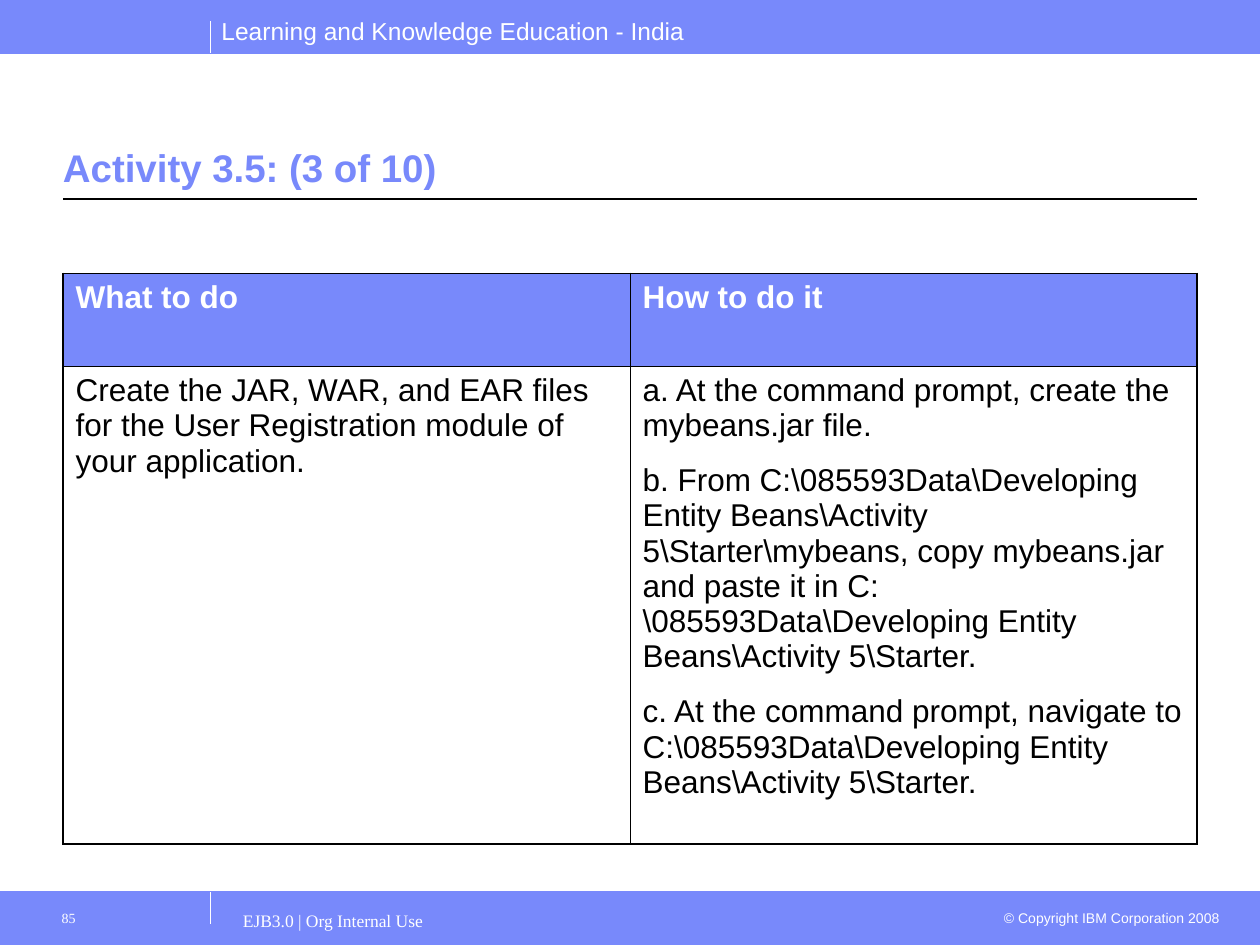
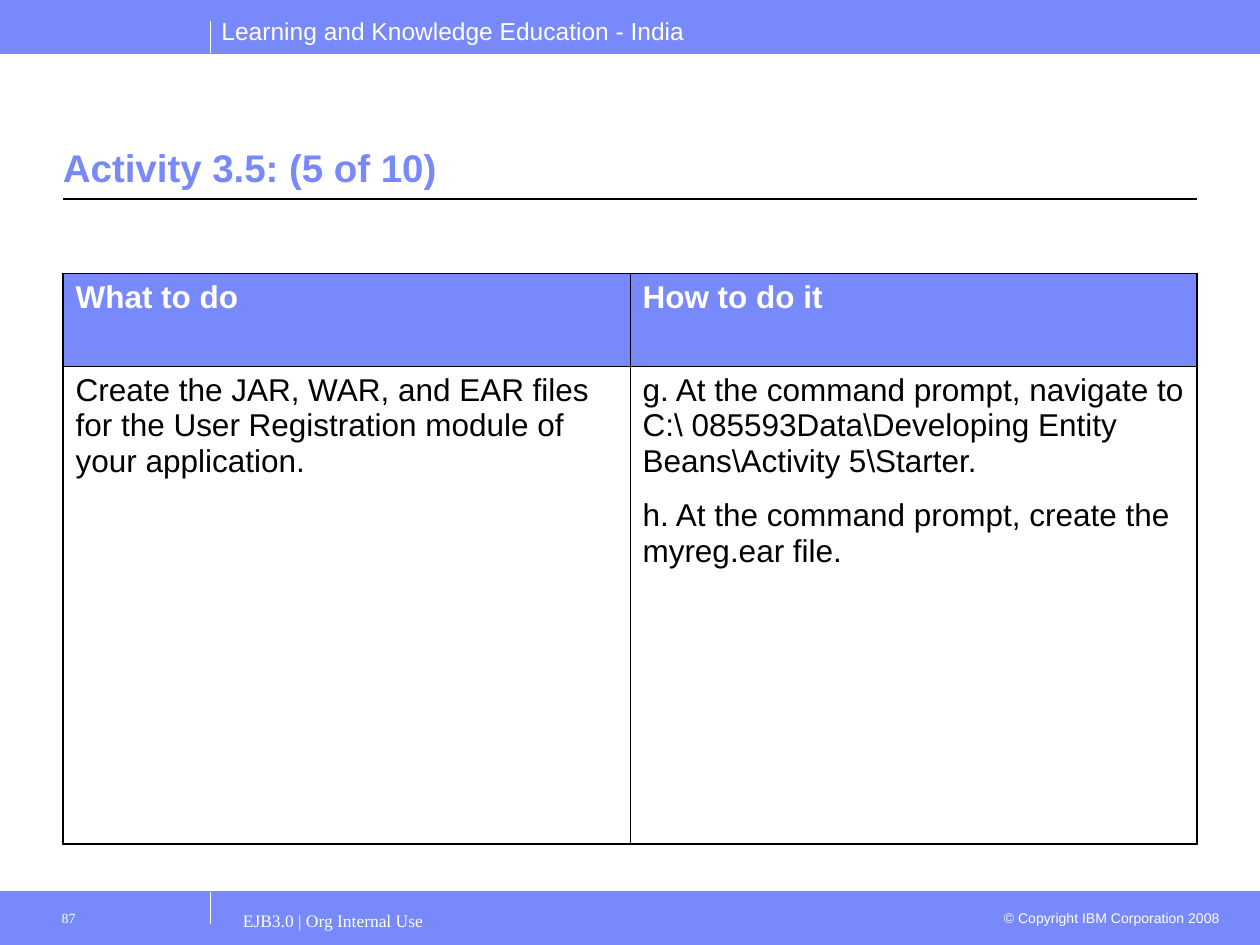
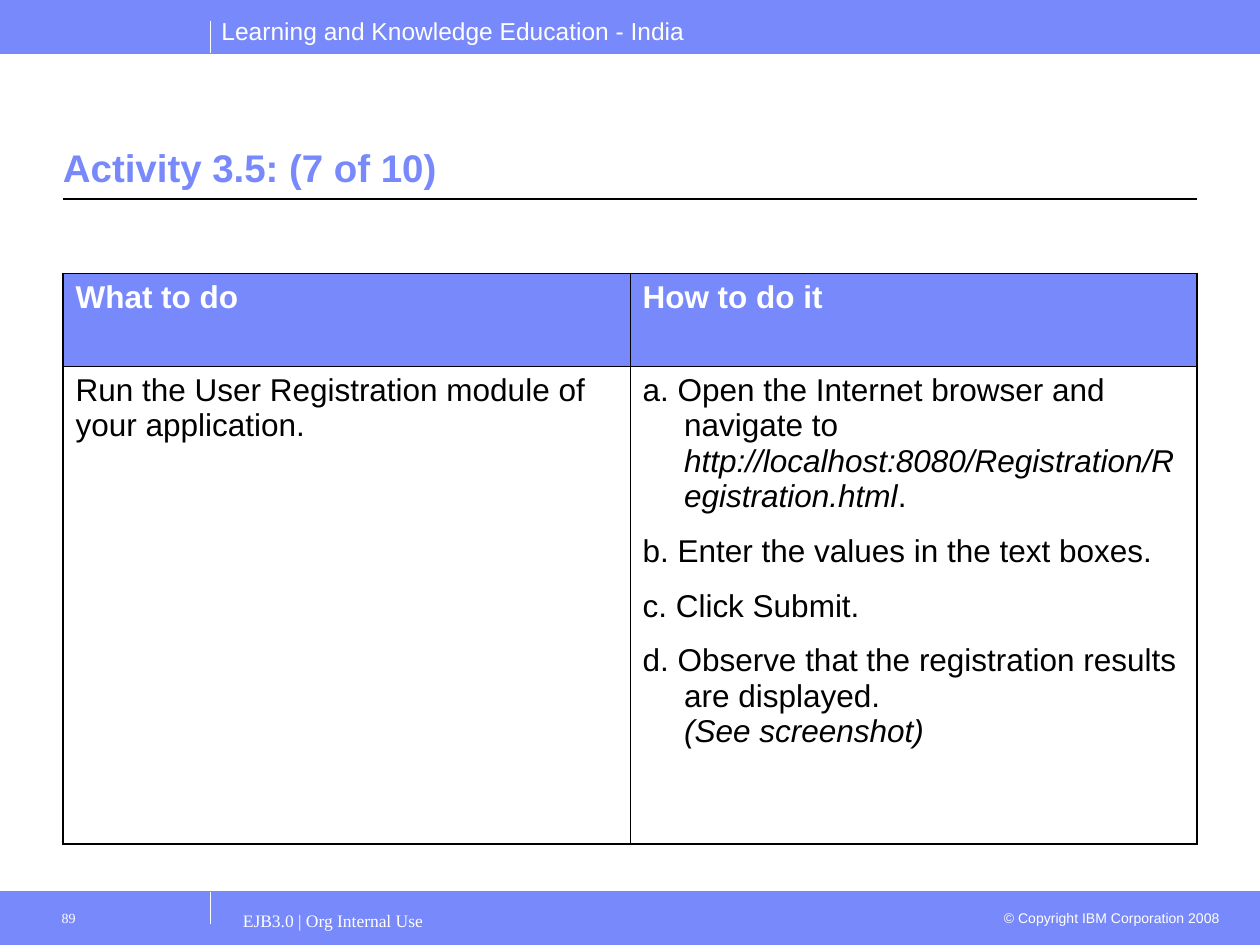
from lxml import etree
from pptx import Presentation
from pptx.dml.color import RGBColor
from pptx.enum.shapes import MSO_CONNECTOR, MSO_SHAPE
from pptx.enum.text import MSO_ANCHOR, PP_ALIGN
from pptx.oxml.ns import qn
from pptx.util import Inches, Pt

COLORS = {"band": "7889FB", "light": "FFFFFF", "dark": "000000"}
STARTER = r"C:\085593Data\Developing Entity Beans\Activity 5\Starter"
HEADINGS = ["What to do", "How to do it"]
BUILD_TASK = "Create the JAR, WAR, and EAR files for the User Registration module of your application."

ACTIVITIES = [
    {
        "title": "Activity 3.5: (3 of 10)",
        "page": "85",
        "task": BUILD_TASK,
        "steps": [
            "a. At the command prompt, create the mybeans.jar file.",
            rf"b. From {STARTER}\mybeans, copy mybeans.jar and paste it in {STARTER}.",
            f"c. At the command prompt, navigate to {STARTER}.",
        ],
    },
    {
        "title": "Activity 3.5: (5 of 10)",
        "page": "87",
        "task": BUILD_TASK,
        "steps": [
            r"g. At the command prompt, navigate to C:\ 085593Data\Developing Entity Beans\Activity 5\Starter.",
            "h. At the command prompt, create the myreg.ear file.",
        ],
    },
    {
        "title": "Activity 3.5: (7 of 10)",
        "page": "89",
        "task": "Run the User Registration module of your application.",
        "steps": [
            [
                ("a. Open the Internet browser and navigate to ", False),
                ("http://localhost:8080/Registration/Registration.html", True),
                (".", False),
            ],
            "b. Enter the values in the text boxes.",
            "c. Click Submit.",
            [
                ("d. Observe that the registration results are displayed.", False),
                ("\n", False),
                ("(See screenshot)", True),
            ],
        ],
        "hanging": 0.33,
    },
]

WIDTH, HEIGHT, BAND = 10, 7.5, 0.42
FOOTER_TOP = HEIGHT - BAND
MARGIN, DIVIDER_X, DIVIDER_LENGTH = 0.5, 1.67, 0.25
CONTENT_WIDTH = WIDTH - 2 * MARGIN
TABLE_TOP, ROW_HEIGHTS = 2.17, [0.74, 3.79]
OUTER_BORDER, INNER_BORDER = 1.08, 0.45


def rgb(color):
    return RGBColor.from_string(COLORS[color])


def write(frame, paragraphs, size=18, color="light", font="Arial", bold=False,
          align=PP_ALIGN.LEFT, after=0, hanging=0):
    for index, content in enumerate(paragraphs):
        paragraph = frame.add_paragraph() if index else frame.paragraphs[0]
        paragraph.alignment = align
        paragraph.space_after = Pt(after)
        if hanging:
            properties = paragraph._p.get_or_add_pPr()
            properties.set("marL", str(Inches(hanging)))
            properties.set("indent", str(-Inches(hanging)))
        runs = [(content, False)] if isinstance(content, str) else content
        for text, italic in runs:
            if text == "\n":
                paragraph.add_line_break()
                continue
            run = paragraph.add_run()
            run.text = text
            run.font.size = Pt(size)
            run.font.name = font
            run.font.bold = bold
            run.font.italic = italic
            run.font.color.rgb = rgb(color)


def add_label(slide, text, box, insets=(0.1, 0.05, 0.1, 0.05),
              anchor=MSO_ANCHOR.TOP, **style):
    frame = slide.shapes.add_textbox(*map(Inches, box)).text_frame
    frame.word_wrap = True
    frame.vertical_anchor = anchor
    (frame.margin_left, frame.margin_top,
     frame.margin_right, frame.margin_bottom) = map(Inches, insets)
    write(frame, [text], **style)


def add_rule(slide, start, end, color, weight=0.75):
    rule = slide.shapes.add_connector(MSO_CONNECTOR.STRAIGHT, *map(Inches, start + end))
    rule.line.color.rgb = rgb(color)
    rule.line.width = Pt(weight)
    etree.SubElement(rule._element.spPr, qn("a:effectLst"))


def add_band(slide, top):
    band = slide.shapes.add_shape(
        MSO_SHAPE.RECTANGLE, 0, Inches(top), Inches(WIDTH), Inches(BAND))
    band.shadow.inherit = False
    band.fill.solid()
    band.fill.fore_color.rgb = rgb("band")
    band.line.color.rgb = rgb("band")
    band.line.width = Pt(0.75)


def add_frame(slide, page):
    for top in (FOOTER_TOP, 0):
        add_band(slide, top)
    for edge, direction in ((FOOTER_TOP, 1), (BAND, -1)):
        add_rule(slide, (0, edge), (WIDTH, edge), "band", 0.5)
        add_rule(slide, (DIVIDER_X, edge),
                 (DIVIDER_X, edge + direction * DIVIDER_LENGTH), "light")
    add_rule(slide, (MARGIN, 1.58), (WIDTH - MARGIN, 1.58), "dark")
    add_label(slide, "Learning and Knowledge Education - India",
              (1.66, 0.08, 4.1, 0.34), size=14)
    add_label(slide, "© Copyright IBM Corporation 2008",
              (7.83, 7.17, 1.95, 0.24), size=8, align=PP_ALIGN.RIGHT)
    add_label(slide, "EJB3.0 | Org Internal Use", (1.83, 7.15, 6, 0.35),
              insets=(0.1, 0.07, 0.1, 0.05), size=10, font="Times New Roman")
    add_label(slide, page, (0.33, 7.15, 1.33, 0.35),
              insets=(0.16, 0.07, 0.1, 0.05), size=8, font="Times New Roman")


def set_borders(cell, row, column):
    outer_sides = {"lnL": column == 0, "lnR": column == 1, "lnT": row == 0, "lnB": row == 1}
    properties = cell._tc.get_or_add_tcPr()
    for side, outer in outer_sides.items():
        weight = Pt(OUTER_BORDER if outer else INNER_BORDER)
        border = etree.SubElement(properties, qn(f"a:{side}"), w=str(weight))
        fill = etree.SubElement(border, qn("a:solidFill"))
        etree.SubElement(fill, qn("a:srgbClr"), val=COLORS["dark"])


def add_steps_table(slide, activity):
    table = slide.shapes.add_table(
        len(ROW_HEIGHTS), len(HEADINGS), Inches(MARGIN), Inches(TABLE_TOP),
        Inches(CONTENT_WIDTH), Inches(sum(ROW_HEIGHTS))).table
    table.horz_banding = False
    for table_row, height in zip(table.rows, ROW_HEIGHTS):
        table_row.height = Inches(height)
    rows = [[[heading] for heading in HEADINGS], [[activity["task"]], activity["steps"]]]
    for row, cells in enumerate(rows):
        for column, paragraphs in enumerate(cells):
            cell = table.cell(row, column)
            set_borders(cell, row, column)
            heading = row == 0
            if heading:
                cell.fill.solid()
                cell.fill.fore_color.rgb = rgb("band")
            else:
                cell.fill.background()
            is_steps = not heading and column == 1
            write(cell.text_frame, paragraphs, bold=heading, after=11.2,
                  color="light" if heading else "dark",
                  hanging=activity.get("hanging", 0) if is_steps else 0)


def main():
    deck = Presentation()
    deck.slide_width, deck.slide_height = Inches(WIDTH), Inches(HEIGHT)
    for activity in ACTIVITIES:
        slide = deck.slides.add_slide(deck.slide_layouts[6])
        add_frame(slide, activity["page"])
        add_label(slide, activity["title"], (MARGIN, 0.64, CONTENT_WIDTH, 0.92),
                  insets=(0, 0.05, 0, 0.05), anchor=MSO_ANCHOR.BOTTOM,
                  size=22, color="band", bold=True)
        add_steps_table(slide, activity)
    deck.save("out.pptx")


if __name__ == "__main__":
    main()
